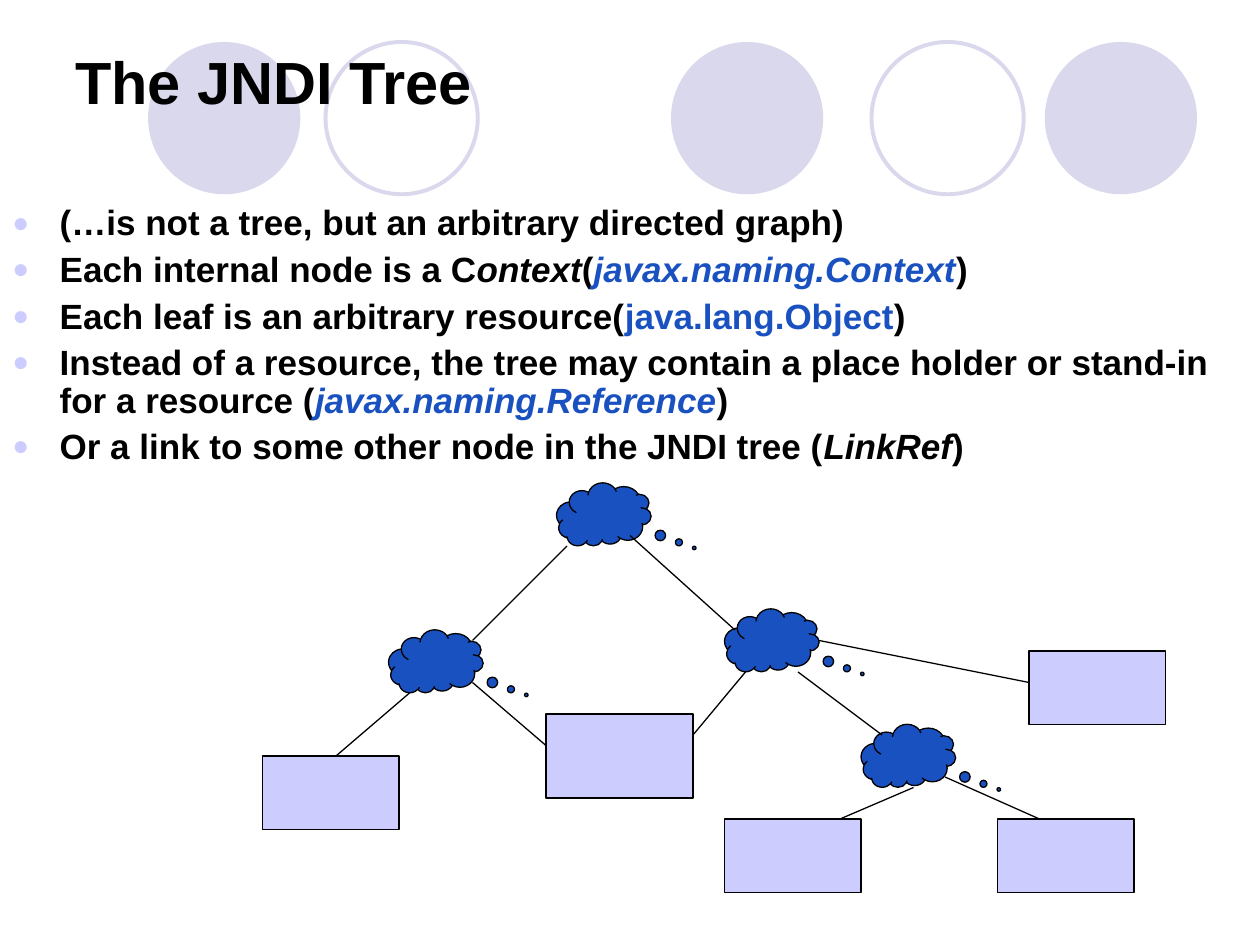
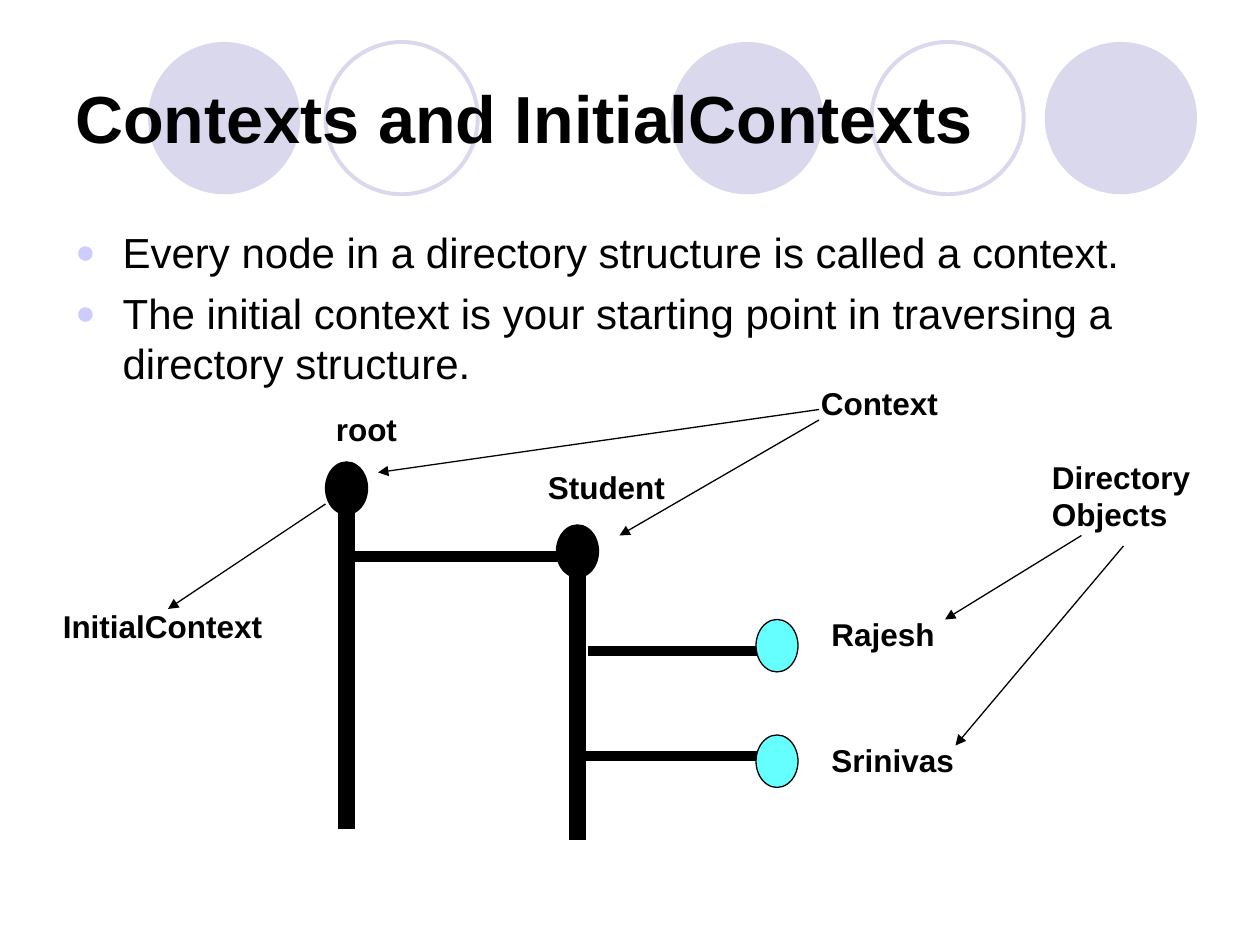
"""Build two slides about the JNDI tree and naming contexts."""
from lxml import etree
from pptx import Presentation
from pptx.dml.color import RGBColor
from pptx.enum.shapes import MSO_CONNECTOR, MSO_SHAPE
from pptx.enum.text import MSO_ANCHOR, MSO_AUTO_SIZE
from pptx.oxml.ns import qn
from pptx.util import Emu, Pt

ELLIPSE = MSO_SHAPE.OVAL
RECTANGLE = MSO_SHAPE.RECTANGLE
CLOUD = MSO_SHAPE.CLOUD_CALLOUT
STRAIGHT = MSO_CONNECTOR.STRAIGHT
MIDDLE = MSO_ANCHOR.MIDDLE
TOP = MSO_ANCHOR.TOP
GROW = MSO_AUTO_SIZE.SHAPE_TO_FIT_TEXT

BLACK = RGBColor(0x00, 0x00, 0x00)
WHITE = RGBColor(0xFF, 0xFF, 0xFF)
PALE = RGBColor(0xD9, 0xD8, 0xEC)
LAVENDER = RGBColor(0xCC, 0xCC, 0xFF)
BLUE = RGBColor(0x1A, 0x51, 0xC0)
CYAN = RGBColor(0x66, 0xFF, 0xFF)

FONT = "Arial"
PX = 7620
THIN, RING, BRANCH, TRUNK = 0.75, 2.25, 6, 10


class Deck:
    """Hold the shared style and the current slide."""

    def __init__(self):
        self.presentation = Presentation()
        self.presentation.slide_width = self.length(1200)
        self.presentation.slide_height = self.length(900)
        self.slide = None

    def length(self, px):
        return Emu(px * PX)

    def box(self, bounds):
        return [self.length(px) for px in bounds]

    def new_slide(self, title, size, bottom_inset=6):
        self.slide = self.presentation.slides.add_slide(self.presentation.slide_layouts[6])
        background = self.slide.background.fill
        background.solid()
        background.fore_color.rgb = WHITE
        for left in (639, 995, 141):
            self.shape(ELLIPSE, (left, 40, 145, 145), PALE, None)
        for left in (830, 310):
            self.shape(ELLIPSE, (left, 40, 145, 145), None, PALE, RING)
        frame = self.text((60, 36, 1080, 150), title, size, anchor=MIDDLE)
        frame.margin_bottom = self.length(bottom_inset)

    def shape(self, kind, bounds, fill, line=BLACK, width=THIN):
        shape = self.slide.shapes.add_shape(kind, *self.box(bounds))
        shape.shadow.inherit = False
        if fill is None:
            shape.fill.background()
        else:
            shape.fill.solid()
            shape.fill.fore_color.rgb = fill
        if line is None:
            shape.line.fill.background()
        else:
            shape.line.color.rgb = line
            shape.line.width = Pt(width)
        return shape

    def cloud(self, left, top):
        cloud = self.shape(CLOUD, (left, top, 90, 60), BLUE)
        cloud.rotation = 180
        cloud.adjustments[0] = -0.958
        cloud.adjustments[1] = -0.531

    def line(self, ends, width=THIN, arrow=False):
        connector = self.slide.shapes.add_connector(STRAIGHT, *self.box(ends))
        connector.line.color.rgb = BLACK
        connector.line.width = Pt(width)
        if arrow:
            outline = connector.line._get_or_add_ln()
            etree.SubElement(outline, qn("a:tailEnd"), type="triangle")
        etree.SubElement(connector._element.spPr, qn("a:effectLst"))

    def style(self, run, size, bold=True, colour=BLACK, italic=False):
        run.font.name = FONT
        run.font.size = Pt(size)
        run.font.bold = bold
        run.font.italic = italic
        run.font.color.rgb = colour

    def frame(self, bounds, anchor=TOP):
        frame = self.slide.shapes.add_textbox(*self.box(bounds)).text_frame
        frame.word_wrap = True
        frame.vertical_anchor = anchor
        return frame

    def text(self, bounds, words, size, anchor=TOP):
        frame = self.frame(bounds, anchor)
        frame.text = words
        for paragraph in frame.paragraphs:
            self.style(paragraph.runs[0], size)
        return frame

    def label(self, bounds, words):
        frame = self.text(bounds, words, 18)
        frame.word_wrap = False
        frame.auto_size = GROW

    def bullets(self, bounds, items, size, bold, space, spacing):
        frame = self.frame(bounds)
        for index, pieces in enumerate(items):
            paragraph = frame.add_paragraph() if index else frame.paragraphs[0]
            self.bullet(paragraph)
            paragraph.line_spacing = spacing
            if index:
                paragraph.space_before = Pt(space)
            for words, colour, italic in pieces:
                run = paragraph.add_run()
                run.text = words
                self.style(run, size, bold, colour, italic)

    def bullet(self, paragraph):
        properties = paragraph._p.get_or_add_pPr()
        indent = self.length(45)
        properties.set("marL", str(indent))
        properties.set("indent", str(-indent))
        colour = etree.SubElement(properties, qn("a:buClr"))
        etree.SubElement(colour, qn("a:srgbClr"), val=str(LAVENDER))
        etree.SubElement(properties, qn("a:buSzPct"), val="80000")
        etree.SubElement(properties, qn("a:buFont"), typeface=FONT)
        etree.SubElement(properties, qn("a:buChar"), char="●")


def plain(words):
    return words, BLACK, False


def build_tree(deck):
    deck.new_slide("The JNDI Tree", 34, bottom_inset=75)
    deck.bullets((0, 190, 1170, 270), [
        [plain("(…is not a tree, but an arbitrary directed graph)")],
        [plain("Each internal node is a C"), ("ontext", BLACK, True), plain("("),
         ("javax.naming.Context", BLUE, True), plain(")")],
        [plain("Each leaf is an arbitrary resource("),
         ("java.lang.Object", BLUE, False), plain(")")],
        [plain("Instead of a resource, the tree may contain a place holder "
               "or stand-in for a resource ("),
         ("javax.naming.Reference", BLUE, True), plain(")")],
        [plain("Or a link to some other node in the JNDI tree ("),
         ("LinkRef", BLACK, True), plain(")")],
    ], size=20, bold=True, space=5, spacing=0.9)
    for left, top in ((530, 460), (690, 580), (370, 600), (820, 690)):
        deck.cloud(left, top)
    for left, top in ((250, 720), (690, 780), (950, 780), (980, 620)):
        deck.shape(RECTANGLE, (left, top, 130, 70), LAVENDER)
    deck.shape(RECTANGLE, (520, 680, 140, 80), LAVENDER)
    for edge in (
        (540, 520, 450, 610), (390, 660, 320, 720), (450, 650, 520, 710),
        (710, 640, 660, 700), (600, 510, 700, 600), (760, 640, 840, 700),
        (780, 610, 980, 650), (870, 750, 800, 780), (900, 740, 990, 780),
    ):
        deck.line(edge)


def build_contexts(deck):
    deck.new_slide("Contexts and InitialContexts", 38)
    deck.bullets((60, 210, 1080, 170), [
        [plain("Every node in a directory structure is called a context.")],
        [plain("The initial context is your starting point in traversing "
               "a directory structure.")],
    ], size=24, bold=False, space=6, spacing=1.0)
    for trunk in ((330, 480, 330, 790), (550, 540, 550, 800)):
        deck.line(trunk, TRUNK)
    for branch in ((330, 530, 550, 530), (560, 620, 740, 620), (550, 720, 730, 720)):
        deck.line(branch, BRANCH)
    for left, top, fill in (
        (310, 440, BLACK), (530, 500, BLACK), (720, 590, CYAN), (720, 700, CYAN),
    ):
        deck.shape(ELLIPSE, (left, top, 40, 50), fill)
    for words, bounds in (
        ("InitialContext", (48, 572, 215, 48)),
        ("root", (308, 385, 83, 48)),
        ("Context", (770, 360, 137, 48)),
        ("Student", (510, 440, 137, 48)),
        ("Rajesh", (780, 580, 123, 48)),
        ("Srinivas", (780, 700, 142, 48)),
        ("Directory\nObjects", (990, 430, 164, 84)),
    ):
        deck.label(bounds, words)
    for pointer in (
        (310, 480, 160, 580), (780, 390, 360, 450), (780, 400, 590, 510),
        (1030, 510, 900, 590), (1070, 520, 910, 710),
    ):
        deck.line(pointer, arrow=True)


def main():
    deck = Deck()
    build_tree(deck)
    build_contexts(deck)
    deck.presentation.save("out.pptx")


if __name__ == "__main__":
    main()
